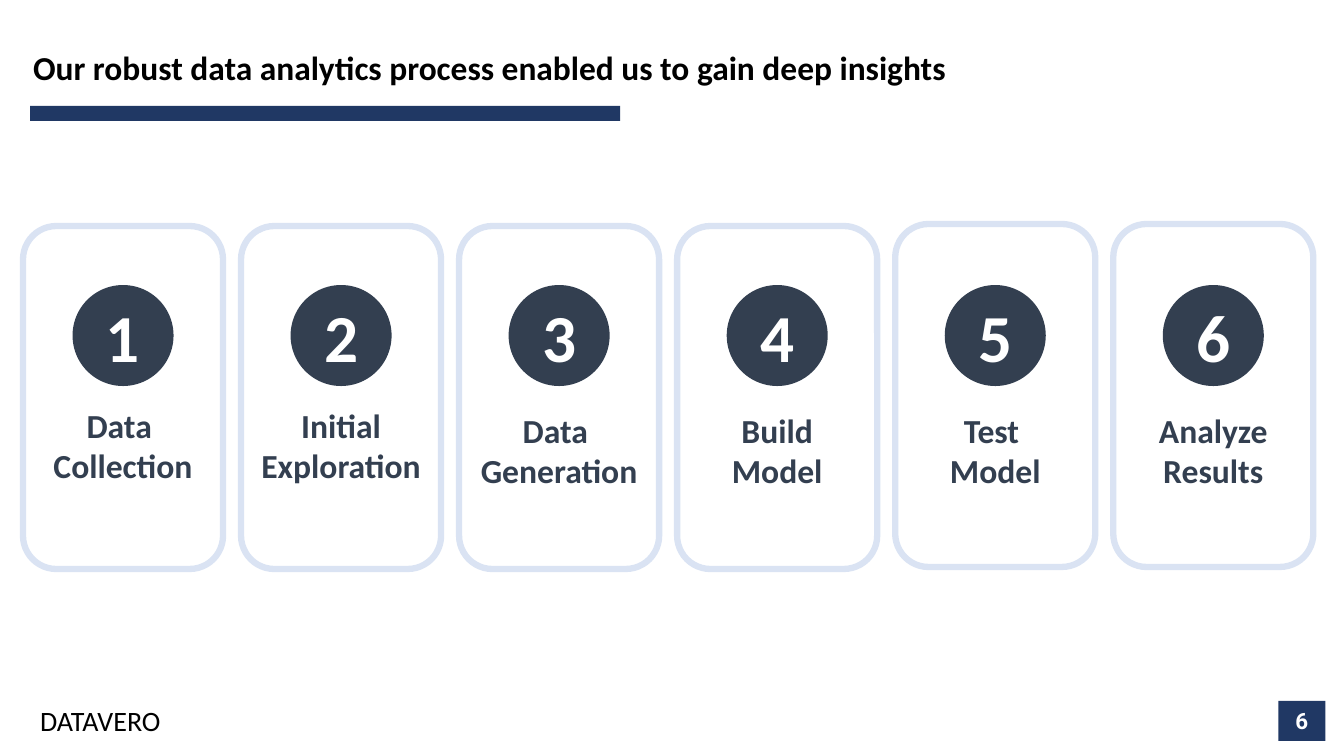
from dataclasses import dataclass

from pptx import Presentation
from pptx.dml.color import RGBColor
from pptx.enum.shapes import MSO_SHAPE as Shape
from pptx.enum.text import MSO_ANCHOR as Anchor, MSO_AUTO_SIZE as AutoSize, PP_ALIGN as Align
from pptx.util import Inches, Pt


@dataclass(frozen=True)
class Theme:
    font: str = "Calibri"
    page_font: str = "Roboto"
    navy: str = "203864"
    slate: str = "333F50"
    pale: str = "DAE3F3"
    white: str = "FFFFFF"
    black: str = "000000"
    title: float = 23.9
    number: int = 48
    label: int = 24
    footer: int = 20
    page: int = 16
    border: float = 4.5


THEME = Theme()
PX_PER_INCH = 100.8
STEPS = [
    (("Data ", "Collection"), 226, 399),
    (("Initial", "Exploration"), 226, 399),
    (("Data ", "Generation"), 226, 404),
    (("Build", "Model"), 226, 404),
    (("Test ", "Model"), 224, 404),
    (("Analyze", "Results"), 224, 404),
]


def px(n):
    return Inches(n / PX_PER_INCH)


def rgb(color):
    return RGBColor.from_string(color)


def write(sp, lines, size, color, bold=True, align=Align.CENTER, font=THEME.font,
          anchor=Anchor.MIDDLE, inset=0):
    tf = sp.text_frame
    tf.word_wrap = True
    tf.auto_size = AutoSize.NONE
    tf.vertical_anchor = anchor
    tf.margin_left = tf.margin_right = px(inset)
    tf.margin_top = tf.margin_bottom = 0
    for i, line in enumerate(lines):
        p = tf.add_paragraph() if i else tf.paragraphs[0]
        p.alignment = align
        r = p.add_run()
        r.text = line
        r.font.name = font
        r.font.size = Pt(size)
        r.font.bold = bold
        r.font.color.rgb = rgb(color)
    return tf


def add_shape(s, kind, box, fill, border=None):
    sp = s.shapes.add_shape(kind, *map(px, box))
    sp.shadow.inherit = False
    sp.fill.solid()
    sp.fill.fore_color.rgb = rgb(fill)
    if border:
        sp.line.color.rgb = rgb(border)
        sp.line.width = Pt(THEME.border)
    else:
        sp.line.fill.background()
    return sp


def add_header(s, x, y, w):
    title = s.shapes.title
    title.left, title.top, title.width, title.height = map(px, (x - 7, y, w, 60))
    tf = write(title, ["Our robust data analytics process enabled us to gain deep insights"],
               THEME.title, THEME.black, align=Align.LEFT, inset=10)
    tf.paragraphs[0].line_spacing = 0.9
    add_shape(s, Shape.RECTANGLE, (x, y + 66, 590, 15), THEME.navy)


def add_step(s, x, y, w, h, number, lines, label_y):
    add_shape(s, Shape.ROUNDED_RECTANGLE, (x, y, w, h), THEME.white, THEME.pale)
    disc = 101
    badge = add_shape(s, Shape.OVAL, (x + (w - disc) / 2, 285, disc, disc), THEME.slate)
    write(badge, [str(number)], THEME.number, THEME.white)
    label = s.shapes.add_textbox(*map(px, (x, label_y, w, 92)))
    write(label, lines, THEME.label, THEME.slate)


def add_process(s, x, w, h, pitch):
    for i, (lines, card_y, label_y) in enumerate(STEPS):
        add_step(s, x + i * pitch, card_y, w, h, i + 1, lines, label_y)


def add_footer(s, x, y, w, h):
    team = s.shapes.add_textbox(*map(px, (x, y - 2, 253, h + 2)))
    write(team, ["DATAVERO"], THEME.footer, THEME.black, bold=False, align=Align.LEFT, inset=10)
    page_w = 47
    page = add_shape(s, Shape.RECTANGLE, (x + w - page_w, y, page_w, h), THEME.navy)
    write(page, ["6"], THEME.page, THEME.white, font=THEME.page_font)


def main():
    prs = Presentation()
    prs.slide_width, prs.slide_height = Inches(13.33), Inches(7.5)
    s = prs.slides.add_slide(prs.slide_layouts[5])
    add_header(s, 30, 40, 1290)
    add_process(s, 23, 200, 343, 218)
    add_footer(s, 30, 701, 1295, 40)
    prs.save("out.pptx")


if __name__ == "__main__":
    main()
